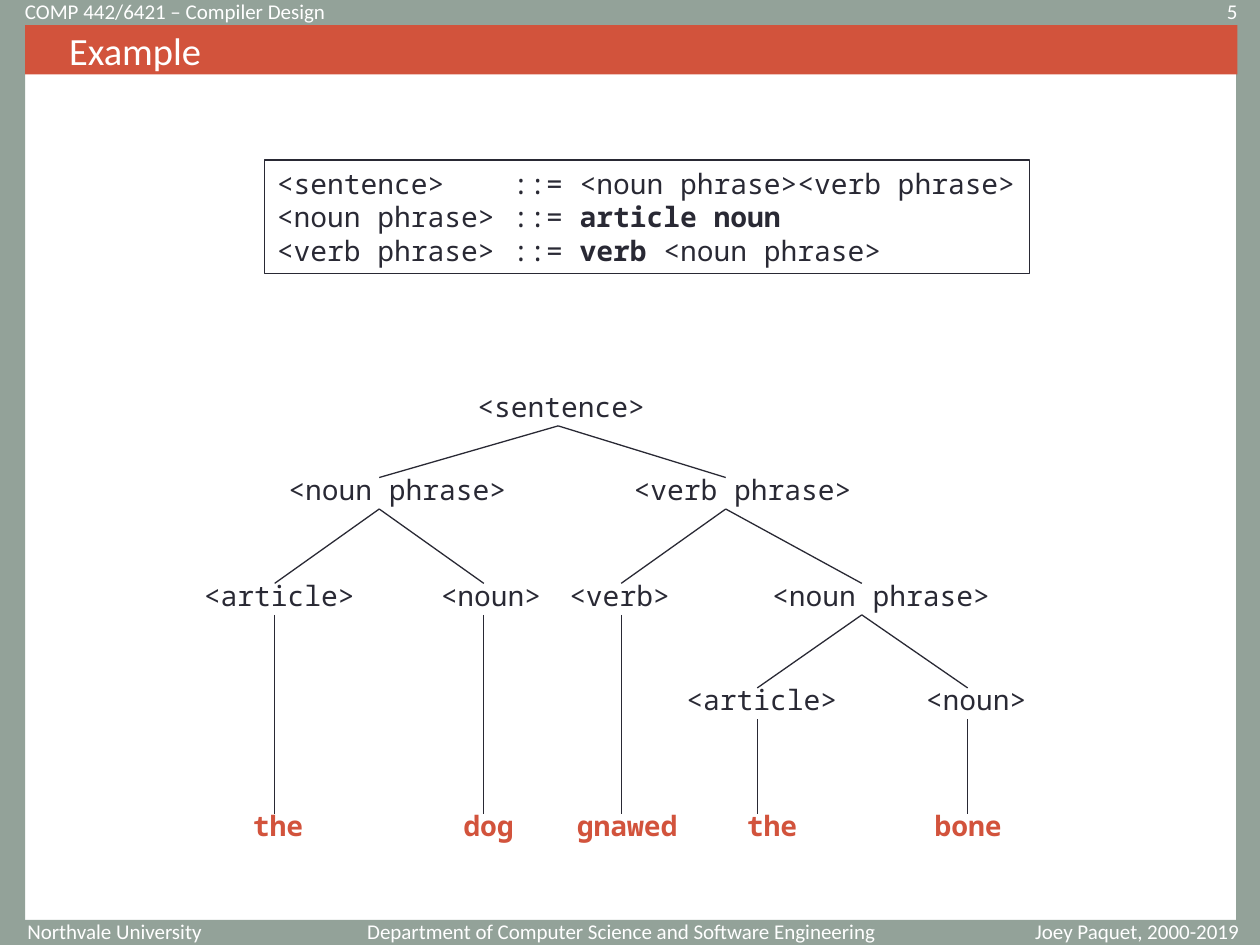
from lxml import etree
from pptx import Presentation
from pptx import util as u
from pptx.dml.color import RGBColor
from pptx.enum import shapes, text
from pptx.oxml.ns import qn

HUES = {"frame": "93A299", "red": "D2533C", "ink": "292934", "white": "FFFFFF"}
SANS, MONO = "Calibri", "Noto Sans Mono"
LEFT, RIGHT = text.PP_ALIGN.LEFT, text.PP_ALIGN.RIGHT


class Deck:
    def __init__(self, wide, high):
        self.prs = Presentation()
        self.prs.slide_width, self.prs.slide_height = u.Inches(wide), u.Inches(high)
        self.slide = self.prs.slides.add_slide(self.prs.slide_layouts[6])

    def hue(self, name):
        return RGBColor.from_string(HUES[name])

    def rect(self, box, fill=None, line=None):
        shape = self.slide.shapes.add_shape(
            shapes.MSO_SHAPE.RECTANGLE, *map(u.Inches, box))
        shape.shadow.inherit = False
        if fill:
            shape.fill.solid()
            shape.fill.fore_color.rgb = self.hue(fill)
        else:
            shape.fill.background()
        if line:
            shape.line.color.rgb = self.hue(line)
            shape.line.width = u.Pt(0.74)
        else:
            shape.line.fill.background()
        return shape

    def put(self, shape, rows, size, font, hue, align=LEFT, wrap=True,
            mid=False, dent=0, tab=None):
        """Each row is a list of (words, bold) runs."""
        frame = shape.text_frame
        frame.word_wrap = wrap
        frame.vertical_anchor = text.MSO_ANCHOR.MIDDLE if mid else text.MSO_ANCHOR.TOP
        for i, row in enumerate(rows):
            para = frame.add_paragraph() if i else frame.paragraphs[0]
            para.alignment = align
            props = para._p.get_or_add_pPr()
            if dent:
                props.set("marL", str(u.Inches(dent)))
            if tab:
                stops = etree.SubElement(props, qn("a:tabLst"))
                etree.SubElement(stops, qn("a:tab"), pos=str(u.Inches(tab)), algn="l")
            for words, bold in row:
                run = para.add_run()
                run.text = words
                run.font.size, run.font.name = u.Pt(size), font
                run.font.bold = bold
                run.font.color.rgb = self.hue(hue)

    def label(self, box, words, size, font, hue, bold=False, **style):
        shape = self.slide.shapes.add_textbox(*map(u.Inches, box))
        self.put(shape, [[(words, bold)]], size, font, hue, **style)

    def line(self, *ends):
        link = self.slide.shapes.add_connector(
            shapes.MSO_CONNECTOR.STRAIGHT, *map(u.Inches, ends))
        link.line.color.rgb = self.hue("ink")
        link.line.width = u.Pt(0.74)
        etree.SubElement(link._element.spPr, qn("a:effectLst"))


deck = Deck(10, 7.5)

# Frame around the page
for box in [(0, 0, 10, 0.2), (0, 7.3, 10, 0.2),
            (0, 0, 0.2, 7.44), (9.81, 0.18, 0.19, 7.32)]:
    deck.rect(box, "frame")

# Title bar
title = deck.rect((0.2, 0.2, 9.62, 0.39), "red")
deck.put(title, [[("Example", False)]], 22, SANS, "white", mid=True, dent=0.25)

# Header and footer
for x, y, w, words, align in [
        (0.1, 0.03, 5.6, "COMP 442/6421 – Compiler Design", LEFT),
        (8.75, 0.03, 1.17, "5", RIGHT),
        (0.03, 7.33, 1.67, "Northvale University", RIGHT),
        (2.8, 7.33, 4.25, "Department of Computer Science and Software Engineering", RIGHT),
        (7.99, 7.33, 2.07, "Joey Paquet, 2000-2019", text.PP_ALIGN.CENTER)]:
    deck.label((x, y, w, 0.12), words, 12, SANS, "white", align=align, mid=True)

# Grammar rules
rules = deck.rect((2.1, 1.27, 6.07, 0.9), line="ink")
deck.put(rules, [
    [("<sentence>\t::= <noun phrase><verb phrase>", False)],
    [("<noun phrase>\t::= ", False), ("article noun", True)],
    [("<verb phrase>\t::= ", False), ("verb", True), (" <noun phrase>", False)],
], 16, MONO, "ink", wrap=False, tab=1.87)

# Parse tree: words, label left, label top, branch x, children
WORD = 6.37
TREE = ("<sentence>", 3.69, 3.04, 4.43, [
    ("<noun phrase>", 2.19, 3.7, 3.01, [
        ("<article>", 1.52, 4.54, 2.18, [("the", 1.91, WORD, 2.18, [])]),
        ("<noun>", 3.4, 4.54, 3.84, [("dog", 3.58, WORD, 3.84, [])])]),
    ("<verb phrase>", 4.93, 3.7, 5.76, [
        ("<verb>", 4.42, 4.54, 4.93, [("gnawed", 4.48, WORD, 4.93, [])]),
        ("<noun phrase>", 6.03, 4.54, 6.84, [
            ("<article>", 5.35, 5.37, 6.01, [("the", 5.83, WORD, 6.01, [])]),
            ("<noun>", 7.25, 5.37, 7.68, [("bone", 7.32, WORD, 7.68, [])])])])])


def grow(node):
    words, left, top, x, kids = node
    leaf = not kids
    width = 0.2 + len(words) * 0.4 / 3
    deck.label((left, top, width, 0.37), words, 16, MONO,
               "red" if leaf else "ink", bold=leaf, wrap=False)
    for kid in kids:
        deck.line(x, top + 0.34, kid[3], kid[2] + 0.09)
        grow(kid)


grow(TREE)
deck.prs.save("out.pptx")
